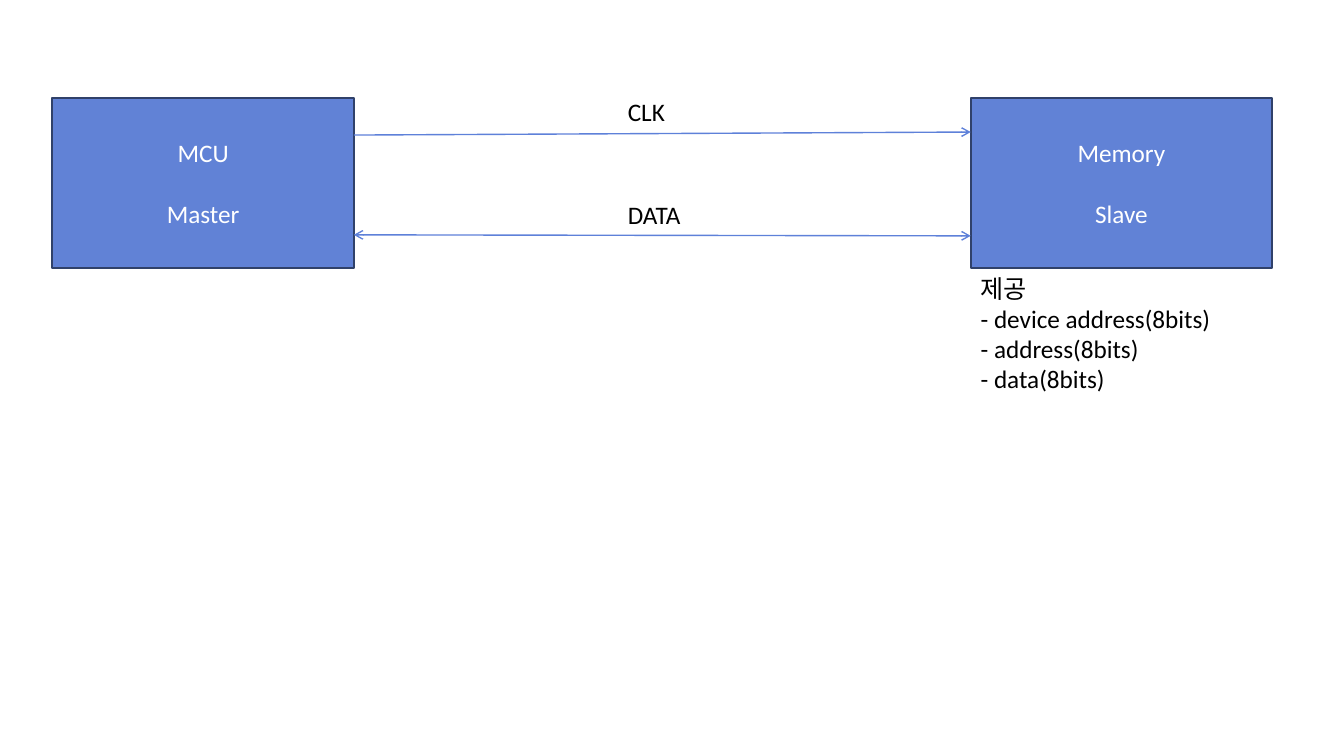
import pptx
import pptx.dml.color
import pptx.enum.shapes
import pptx.enum.text
import pptx.oxml
import pptx.oxml.ns
import pptx.util
from dataclasses import dataclass


@dataclass(frozen=True)
class Theme:
    font: str = "Calibri"
    text_size: float = 18
    role_gap: float = 22
    device_fill: str = "6182D6"
    device_edge: str = "30416A"
    device_edge_width: float = 1.5
    signal: str = "5E81D9"
    signal_width: float = 1
    on_device: str = "FFFFFF"
    on_slide: str = "000000"


THEME = Theme()

# Grid of tenth-inch cells: every length below is in columns or rows
CELL = pptx.util.Inches(0.1)
SLIDE_COLS, SLIDE_ROWS = 133.33, 75
DEVICE_COLS, DEVICE_ROWS, DEVICE_TOP = 29.9, 16.9, 9.7
MASTER_LEFT, SLAVE_LEFT = 5.2, 96.3
LABEL_LEFT, LABEL_COLS, LINE_ROWS = 61.3, 16.6, 4
NOTE_COLS, NOTE_ROWS = 31.2, 13


def cells(*counts):
    return [round(count * CELL) for count in counts]


def color(value):
    return pptx.dml.color.RGBColor.from_string(value)


def apply(target, formats):
    for name, value in formats.items():
        setattr(target, name, value)


def write(frame, lines, ink, align, gap=0):
    for index, line in enumerate(lines):
        paragraph = frame.paragraphs[0] if index == 0 else frame.add_paragraph()
        apply(paragraph, {
            "alignment": align,
            "space_before": pptx.util.Pt(gap if index else 0),
        })
        run = paragraph.add_run()
        run.text = line
        apply(run.font, {"name": THEME.font, "size": pptx.util.Pt(THEME.text_size)})
        run.font.color.rgb = color(ink)


def add_device(slide, left, name, role):
    device = slide.shapes.add_shape(
        pptx.enum.shapes.MSO_SHAPE.RECTANGLE,
        *cells(left, DEVICE_TOP, DEVICE_COLS, DEVICE_ROWS))
    device.shadow.inherit = False
    device.fill.solid()
    device.fill.fore_color.rgb = color(THEME.device_fill)
    device.line.color.rgb = color(THEME.device_edge)
    device.line.width = pptx.util.Pt(THEME.device_edge_width)
    apply(device.text_frame, {
        "word_wrap": True,
        "vertical_anchor": pptx.enum.text.MSO_ANCHOR.MIDDLE,
    })
    write(device.text_frame, [name, role], THEME.on_device,
          pptx.enum.text.PP_ALIGN.CENTER, THEME.role_gap)


def add_note(slide, left, top, cols, rows, lines):
    note = slide.shapes.add_textbox(*cells(left, top, cols, rows))
    apply(note.text_frame, {
        "word_wrap": True,
        "auto_size": pptx.enum.text.MSO_AUTO_SIZE.SHAPE_TO_FIT_TEXT,
    })
    write(note.text_frame, lines, THEME.on_slide, pptx.enum.text.PP_ALIGN.LEFT)


def add_signal(slide, master_row, slave_row, arrow_ends):
    signal = slide.shapes.add_connector(
        pptx.enum.shapes.MSO_CONNECTOR.STRAIGHT,
        *cells(MASTER_LEFT + DEVICE_COLS, master_row, SLAVE_LEFT, slave_row))
    signal.line.color.rgb = color(THEME.signal)
    signal.line.width = pptx.util.Pt(THEME.signal_width)
    # Arrowheads, then an empty effect list against the shadow
    outline = signal.line._get_or_add_ln()
    for end in arrow_ends:
        arrowhead = pptx.oxml.parse_xml(
            f'<a:{end} {pptx.oxml.ns.nsdecls("a")} type="arrow"/>')
        outline.append(arrowhead)
    signal._element.spPr.append(
        pptx.oxml.parse_xml(f'<a:effectLst {pptx.oxml.ns.nsdecls("a")}/>'))


def main():
    deck = pptx.Presentation()
    deck.slide_width, deck.slide_height = cells(SLIDE_COLS, SLIDE_ROWS)
    slide = deck.slides.add_slide(deck.slide_layouts[6])

    # Bus devices
    add_device(slide, MASTER_LEFT, "MCU", "Master")
    add_device(slide, SLAVE_LEFT, "Memory", "Slave")

    # Bus signals: clock runs one way, data both ways
    add_signal(slide, 13.4, 13.1, ["tailEnd"])
    add_signal(slide, 23.3, 23.4, ["headEnd", "tailEnd"])
    for name, top in (("CLK", 9.1), ("DATA", 19.3)):
        add_note(slide, LABEL_LEFT, top, LABEL_COLS, LINE_ROWS, [name])

    # What the slave provides
    add_note(slide, SLAVE_LEFT, DEVICE_TOP + DEVICE_ROWS, NOTE_COLS, NOTE_ROWS, [
        "제공", "- device address(8bits)", "- address(8bits)", "- data(8bits)"])

    deck.save("out.pptx")


if __name__ == "__main__":
    main()
